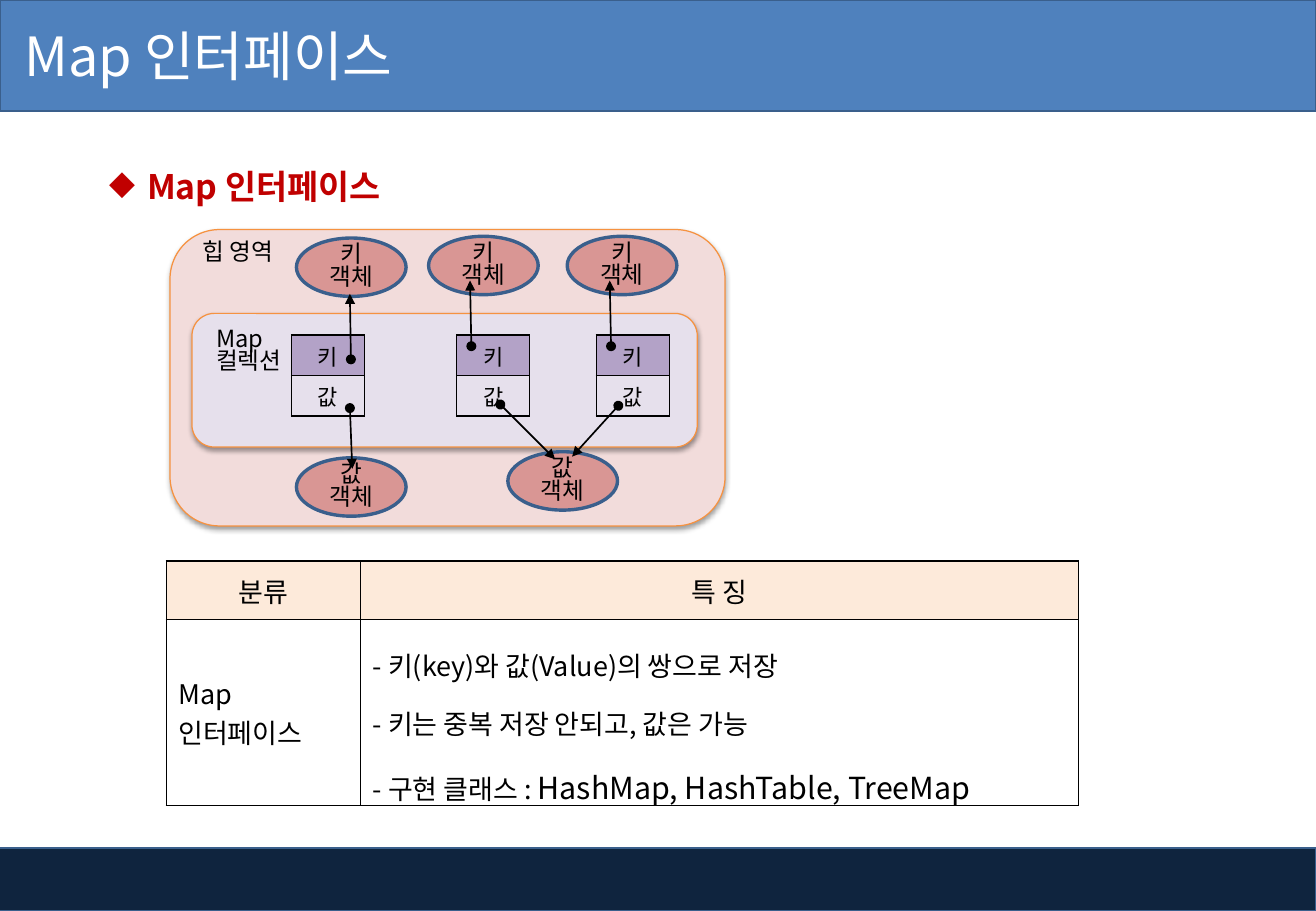
from dataclasses import dataclass
from typing import Optional, Sequence

from lxml import etree
from pptx import Presentation
from pptx.dml.color import RGBColor
from pptx.enum.shapes import MSO_CONNECTOR as CONN, MSO_SHAPE as SHAPE
from pptx.enum.text import MSO_ANCHOR as ANCHOR, PP_ALIGN as ALIGN
from pptx.oxml import parse_xml
from pptx.oxml.ns import nsdecls, qn
from pptx.util import Pt

FONT = "Noto Sans CJK KR"
BLACK = RGBColor(0x00, 0x00, 0x00)
WHITE = RGBColor(0xFF, 0xFF, 0xFF)
NAVY = RGBColor(0x0F, 0x24, 0x3E)
BLUE = RGBColor(0x4F, 0x81, 0xBD)
EDGE_BLUE = RGBColor(0x3A, 0x5F, 0x8C)
RED = RGBColor(0xC0, 0x00, 0x00)
ORANGE = RGBColor(0xF6, 0x92, 0x40)
PINK = RGBColor(0xF2, 0xDC, 0xDB)
LILAC = RGBColor(0xE6, 0xE0, 0xEC)
PURPLE = RGBColor(0xB3, 0xA2, 0xC7)
ROSE = RGBColor(0xD9, 0x96, 0x94)
CREAM = RGBColor(0xFD, 0xEA, 0xDA)


@dataclass
class Box:
    x: float
    y: float
    w: float
    h: float


@dataclass
class ObjectOval:
    name: str
    x: float
    y: float


@dataclass
class Arrow:
    x1: float
    y1: float
    x2: float
    y2: float


OVALS = [
    ObjectOval("키", 175.7, 141.1),
    ObjectOval("키", 254, 140.1),
    ObjectOval("키", 336.2, 140.1),
    ObjectOval("값", 175.7, 271.4),
    ObjectOval("값", 301, 267.8),
]
ENTRY_LEFTS = [172.8, 270.7, 353.5]
ARROWS = [
    Arrow(208, 213, 207.4, 174.2),
    Arrow(279.4, 205.2, 278.6, 166.3),
    Arrow(362.2, 205.2, 361.4, 166.3),
    Arrow(207.4, 241.9, 208.8, 277.9),
    Arrow(296.6, 239.8, 329, 272.2),
    Arrow(366.5, 240.5, 339.1, 270.7),
]

prs = Presentation()
prs.slide_width, prs.slide_height = Pt(780), Pt(540)
shapes = prs.slides.add_slide(prs.slide_layouts[6]).shapes


def write(tf, lines: Sequence[str], size: float, color: RGBColor = BLACK,
          align: ALIGN = ALIGN.LEFT, spacing: Optional[float] = None) -> None:
    for i, line in enumerate(lines):
        p = tf.paragraphs[0] if i == 0 else tf.add_paragraph()
        p.text = line
        p.alignment = align
        p.line_spacing = spacing
        p.font.name, p.font.size, p.font.color.rgb = FONT, Pt(size), color
        for r in p.runs:
            etree.SubElement(r._r.get_or_add_rPr(), qn("a:ea"), typeface=FONT)


def add_block(kind: SHAPE, b: Box, fill: RGBColor, edge: RGBColor, width: float):
    sp = shapes.add_shape(kind, Pt(b.x), Pt(b.y), Pt(b.w), Pt(b.h))
    sp.shadow.inherit = False
    sp.fill.solid()
    sp.fill.fore_color.rgb = fill
    sp.line.color.rgb, sp.line.width = edge, Pt(width)
    return sp


def add_panel(b: Box, fill: RGBColor) -> None:
    sp = add_block(SHAPE.ROUNDED_RECTANGLE, b, fill, ORANGE, 0.75)
    effects = sp._element.spPr.find(qn("a:effectLst"))
    effects.append(parse_xml(
        f'<a:outerShdw {nsdecls("a")} blurRad="{Pt(3.1)}" dist="{Pt(1.6)}" '
        'dir="5400000" rotWithShape="0"><a:srgbClr val="000000">'
        '<a:alpha val="38000"/></a:srgbClr></a:outerShdw>'))


def add_label(b: Box, lines: Sequence[str], size: float, color: RGBColor = BLACK,
              spacing: Optional[float] = None):
    tf = shapes.add_textbox(Pt(b.x), Pt(b.y), Pt(b.w), Pt(b.h)).text_frame
    tf.word_wrap = True
    write(tf, lines, size, color, spacing=spacing)
    return tf


def add_oval(o: ObjectOval) -> None:
    tf = add_block(SHAPE.OVAL, Box(o.x, o.y, 65, 34.6), ROSE, EDGE_BLUE, 2).text_frame
    tf.vertical_anchor = ANCHOR.MIDDLE
    write(tf, [o.name, "객체"], 14, align=ALIGN.CENTER, spacing=0.8)


def add_arrow(a: Arrow) -> None:
    line = shapes.add_connector(CONN.STRAIGHT, Pt(a.x1), Pt(a.y1), Pt(a.x2), Pt(a.y2))
    line.line.color.rgb, line.line.width = BLACK, Pt(1)
    ln = line.line._get_or_add_ln()
    etree.SubElement(ln, qn("a:headEnd"), type="oval")
    etree.SubElement(ln, qn("a:tailEnd"), type="triangle")
    etree.SubElement(line._element.spPr, qn("a:effectLst"))


def add_grid(x: float, y: float, widths: Sequence[float], heights: Sequence[float]):
    table = shapes.add_table(len(heights), len(widths), Pt(x), Pt(y),
                             Pt(sum(widths)), Pt(sum(heights))).table
    table.first_row = table.horz_banding = False
    for column, width in zip(table.columns, widths):
        column.width = Pt(width)
    for row, height in zip(table.rows, heights):
        row.height = Pt(height)
    return table


def style_cell(cell, fill: Optional[RGBColor]) -> None:
    if fill is None:
        cell.fill.background()
    else:
        cell.fill.solid()
        cell.fill.fore_color.rgb = fill
    for i, side in enumerate("LRTB"):
        cell._tc.get_or_add_tcPr().insert(i, parse_xml(
            f'<a:ln{side} {nsdecls("a")} w="{Pt(1)}"><a:solidFill>'
            f'<a:srgbClr val="{BLACK}"/></a:solidFill></a:ln{side}>'))


def add_entry(x: float) -> None:
    table = add_grid(x, 198.5, [43.2], [24, 24])
    for cell, name, fill in zip(table.iter_cells(), ["키", "값"], [PURPLE, None]):
        cell.margin_left = cell.margin_right = Pt(5.8)
        cell.margin_top, cell.margin_bottom = Pt(2.9), Pt(2)
        write(cell.text_frame, [name], 13, align=ALIGN.CENTER)
        style_cell(cell, fill)


# Header and footer bands
add_block(SHAPE.RECTANGLE, Box(-2.9, 502.6, 783, 37.4), NAVY, EDGE_BLUE, 1)
add_block(SHAPE.RECTANGLE, Box(0, 0, 780, 66), BLUE, EDGE_BLUE, 1)
title = add_label(Box(0, -1.4, 488, 67.7), ["Map 인터페이스"], 32, WHITE)
title.margin_left = Pt(14.4)
title.vertical_anchor = ANCHOR.MIDDLE

# Section heading
heading = add_label(Box(57.6, 82.8, 242, 51), ["Map 인터페이스"], 20, RED, 1.5)
p = heading.paragraphs[0]
p.font.bold = True
pPr = p._p.get_or_add_pPr()
pPr.set("marL", str(Pt(22.5)))
pPr.set("indent", str(Pt(-22.5)))
pPr.find(qn("a:lnSpc")).addnext(
    parse_xml(f'<a:buChar {nsdecls("a")} char="◆"/>'))

# Feature table
features = add_grid(98.6, 332.6, [115.2, 425.5], [34.6, 110.2])
contents = [
    ["분류"], ["특 징"], ["Map", "인터페이스"],
    ["- 키(key)와 값(Value)의 쌍으로 저장",
     "- 키는 중복 저장 안되고, 값은 가능",
     "- 구현 클래스 : "],
]
for i, (cell, lines) in enumerate(zip(features.iter_cells(), contents)):
    is_header = i < 2
    cell.vertical_anchor = ANCHOR.MIDDLE
    write(cell.text_frame, lines, 16, align=ALIGN.CENTER if is_header else ALIGN.LEFT,
          spacing=1.5 if len(lines) == 3 else None)
    style_cell(cell, CREAM if is_header else None)
r = features.cell(1, 1).text_frame.paragraphs[-1].add_run()
r.text = "HashMap, HashTable, TreeMap"
r.font.size = Pt(18)

# Heap diagram
add_panel(Box(100.8, 136.1, 329, 175.7), PINK)
add_panel(Box(113.8, 185.8, 299.5, 79.2), LILAC)
add_label(Box(121, 191.5, 57.6, 41), ["Map", "컬렉션"], 14, spacing=0.8)
add_label(Box(113, 140.4, 65.5, 24.5), ["힙 영역"], 14, spacing=0.8)
for left in ENTRY_LEFTS:
    add_entry(left)
for oval in OVALS:
    add_oval(oval)
for arrow in ARROWS:
    add_arrow(arrow)

prs.save("out.pptx")
